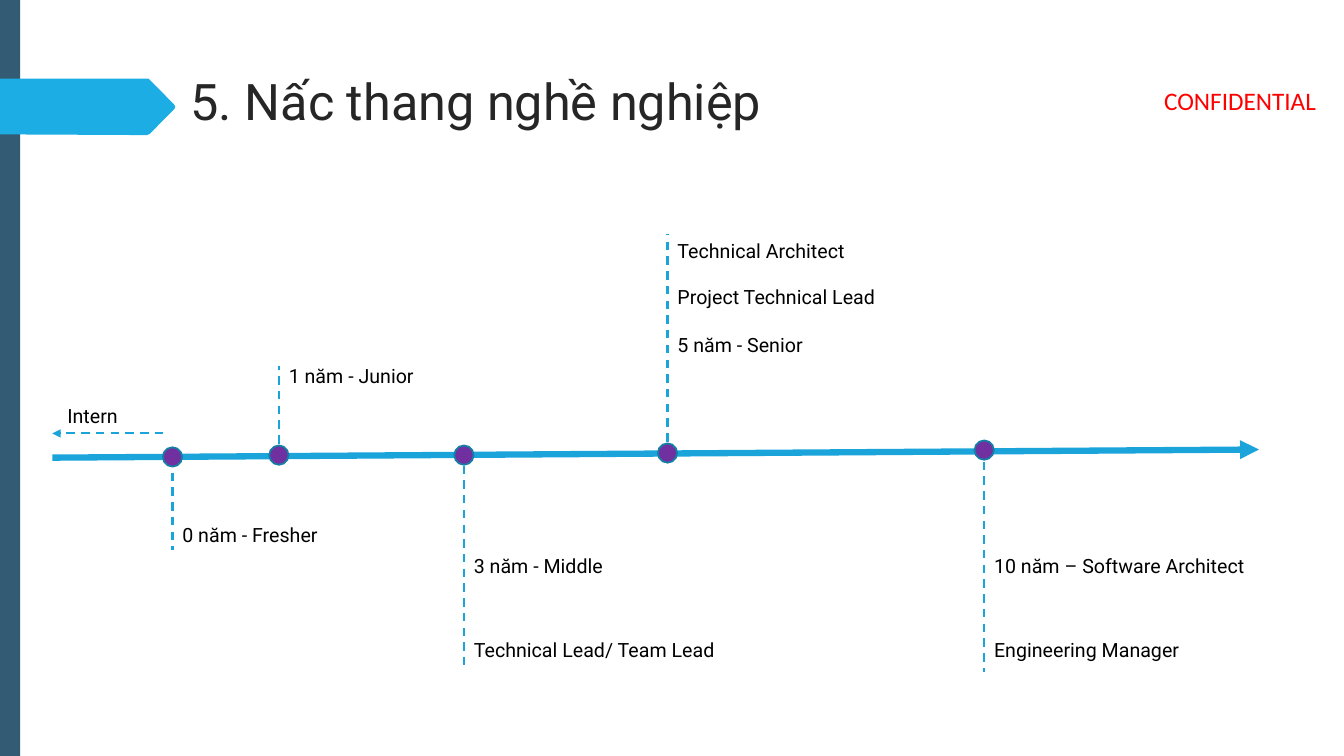
import pptx
import pptx.dml.color
import pptx.enum.dml
import pptx.enum.shapes
import pptx.enum.text
import pptx.oxml.ns
import pptx.util
from lxml import etree

Pt = pptx.util.Pt
RGBColor = pptx.dml.color.RGBColor
MSO_SHAPE = pptx.enum.shapes.MSO_SHAPE

NAVY = RGBColor(0x33, 0x5B, 0x74)
SKY = RGBColor(0x1C, 0xAD, 0xE4)
LINE_BLUE = RGBColor(0x1A, 0xA4, 0xD9)
DOT_EDGE = RGBColor(0x14, 0x7E, 0xA6)
PURPLE = RGBColor(0x70, 0x30, 0xA0)
RED = RGBColor(0xFF, 0x00, 0x00)
CHARCOAL = RGBColor(0x26, 0x26, 0x26)
BLACK = RGBColor(0x00, 0x00, 0x00)

DOT_SIZE = 13.8
LABEL_HEIGHT = 24.5

# Dot centre x and y, stem start and end, labels as (text, top, width)
MILESTONES = [
    (123.2, 326.4, 337.7, 393.1, [("0 năm - Fresher", 370.1, 119)]),
    (199.2, 325.1, 316.8, 261.4, [("1 năm - Junior", 256.3, 106)]),
    (331.4, 325.1, 332.6, 478, [("3 năm - Middle", 392.4, 111),
                                ("Technical Lead/ Team Lead", 452.2, 192)]),
    (476.8, 323.6, 315.4, 167, [("Technical Architect", 167, 192),
                                ("Project Technical Lead", 200.2, 192),
                                ("5 năm - Senior", 234, 106)]),
    (703, 321.5, 329.8, 480.2, [("10 năm – Software Architect", 392.4, 196),
                                ("Engineering Manager", 452.2, 196)]),
]


def write_text(shape, text, size=14, font="Roboto", color=BLACK):
    frame = shape.text_frame
    frame.word_wrap = True
    frame.auto_size = pptx.enum.text.MSO_AUTO_SIZE.NONE
    frame.vertical_anchor = pptx.enum.text.MSO_ANCHOR.TOP
    paragraph = frame.paragraphs[0]
    paragraph.alignment = pptx.enum.text.PP_ALIGN.LEFT
    run = paragraph.add_run()
    run.text = text
    run.font.size = Pt(size)
    run.font.name = font
    run.font.color.rgb = color


def add_label(slide, text, left, top, width, height=LABEL_HEIGHT, **text_format):
    box = slide.shapes.add_textbox(Pt(left), Pt(top), Pt(width), Pt(height))
    write_text(box, text, **text_format)


def paint(shape, fill, edge=None):
    shape.shadow.inherit = False
    shape.fill.solid()
    shape.fill.fore_color.rgb = fill
    if edge is None:
        shape.line.fill.background()
    else:
        shape.line.color.rgb = edge
        shape.line.width = Pt(1.25)


def add_line(slide, start, end, width=1.5, dashed=True, arrow=False):
    connector = slide.shapes.add_connector(
        pptx.enum.shapes.MSO_CONNECTOR.STRAIGHT,
        *(Pt(value) for value in (*start, *end)))
    connector.line.color.rgb = LINE_BLUE
    connector.line.width = Pt(width)
    if dashed:
        connector.line.dash_style = pptx.enum.dml.MSO_LINE.DASH
    qn = pptx.oxml.ns.qn
    if arrow:
        outline = connector.line._get_or_add_ln()
        etree.SubElement(outline, qn("a:tailEnd"), type="triangle")
    etree.SubElement(connector._element.spPr, qn("a:effectLst"))


def add_title_banner(slide):
    builder = slide.shapes.build_freeform(Pt(0), Pt(56.2))
    corners = [(106, 56.2), (107, 57), (124.6, 74.9), (125.2, 76.4),
               (124.6, 77.8), (107, 95.6), (105, 96.5), (0, 96)]
    builder.add_line_segments([(Pt(x), Pt(y)) for x, y in corners])
    paint(builder.convert_to_shape(), SKY)


def add_milestone(slide, x, y, stem_start, stem_end, labels):
    dot = slide.shapes.add_shape(
        MSO_SHAPE.OVAL, Pt(x - DOT_SIZE / 2), Pt(y - DOT_SIZE / 2),
        Pt(DOT_SIZE), Pt(DOT_SIZE))
    paint(dot, PURPLE, DOT_EDGE)
    add_line(slide, (x, stem_start), (x, stem_end))
    for text, top, width in labels:
        add_label(slide, text, x, top, width)


def main():
    presentation = pptx.Presentation()
    presentation.slide_width = Pt(960)
    presentation.slide_height = Pt(540)
    slide = presentation.slides.add_slide(presentation.slide_layouts[5])

    # Side bar, banner and marking
    side_bar = slide.shapes.add_shape(
        MSO_SHAPE.RECTANGLE, Pt(0), Pt(0), Pt(14.4), Pt(540))
    paint(side_bar, NAVY)
    add_label(slide, "CONFIDENTIAL", 824.4, 57.6, 130.6, 29,
              size=18, font="Calibri", color=RED)
    add_title_banner(slide)

    # Title
    title = slide.shapes.title
    title.left, title.top = Pt(129), Pt(46.8)
    title.width, title.height = Pt(702), Pt(100.8)
    write_text(title, "5. Nấc thang nghề nghiệp", size=36, color=CHARCOAL)

    # Career timeline
    add_line(slide, (37.4, 326.9), (899.3, 321.1),
             width=4.5, dashed=False, arrow=True)
    for milestone in MILESTONES:
        add_milestone(slide, *milestone)

    # Internship before the first milestone
    add_line(slide, (116.6, 309.6), (37.4, 309.6), arrow=True)
    add_label(slide, "Intern", 41, 285.1, 59)

    presentation.save("out.pptx")


if __name__ == "__main__":
    main()
